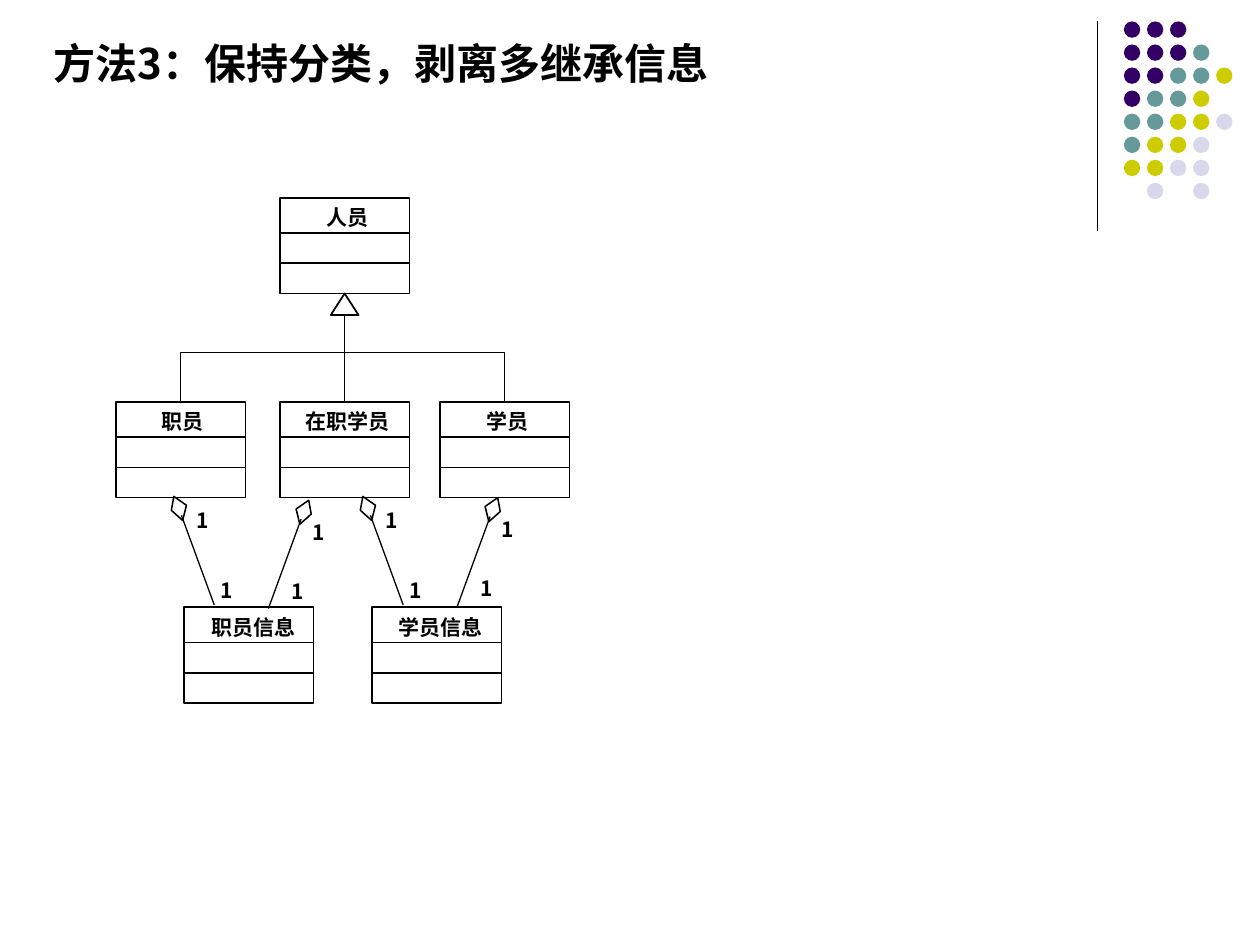
"""Build a slide with a class diagram that splits multiple inheritance into information classes."""
from lxml.etree import SubElement
from pptx import Presentation
from pptx.dml.color import RGBColor
from pptx.enum.shapes import MSO_CONNECTOR, MSO_SHAPE
from pptx.enum.text import MSO_ANCHOR, PP_ALIGN
from pptx.oxml.ns import qn
from pptx.util import Inches, Pt

FONT = "Noto Sans CJK SC"
COLORS = {
    "ink": "000000",
    "paper": "FFFFFF",
    "P": "330066",
    "T": "669999",
    "Y": "CCCC00",
    "L": "D8D8EC",
}
TITLE = "方法3：保持分类，剥离多继承信息"
DOT_ROWS = ["PPP", "PPPT", "PPTTY", "PTTY", "TTYYL", "TYYL", "YYLL", " L L"]
DOT_LEFT, DOT_TOP, DOT_STEP, DOT_SIZE = 8.92, 0.17, 0.183, 0.13

PARENT = ("人员", 2.22, 1.57, 0.04)
CHILDREN = [
    ("职员", 0.92, 3.19, 0.03),
    ("学员", 3.49, 3.19, 0.04),
    ("在职学员", 2.22, 3.19, 0.04),
]
DETAILS = [("职员信息", 1.46, 4.82, 0.08), ("学员信息", 2.95, 4.82, 0.07)]
CLASS_WIDTH, HEADER_HEIGHT, ROW_HEIGHT = 1.03, 0.28, 0.24

TRIANGLE_BASE, BRANCH_Y = 2.5, 2.8
DIAMOND = [(0, 0), (0.1, 0.07), (0.07, 0.19), (-0.02, 0.11)]
LINK_START, LINK_END = (0.06, 0.15), (0.32, 0.86)
MULTIPLICITY = {1: [(0.18, 0.09), (0.37, 0.64)], -1: [(0.03, 0.15), (-0.14, 0.62)]}
AGGREGATIONS = [(3.95, 3.95, -1), (2.45, 3.97, -1), (2.88, 3.94, 1), (1.38, 3.94, 1)]


def color(key):
    return RGBColor.from_string(COLORS[key])


def paint(shape, fill=None, width=None):
    shape.shadow.inherit = False
    if fill:
        shape.fill.solid()
        shape.fill.fore_color.rgb = color(fill)
    else:
        shape.fill.background()
    if width:
        shape.line.color.rgb = color("ink")
        shape.line.width = Pt(width)
    else:
        shape.line.fill.background()


def write(frame, words, size):
    frame.text = words
    font = frame.paragraphs[0].runs[0].font
    font.size, font.bold, font.name = Pt(size), True, FONT
    font.color.rgb = color("ink")
    properties = font._element
    SubElement(properties, qn("a:ea")).set("typeface", FONT)


def add_text(slide, words, left, top, width, height, size, margins=(0, 0), wrap=False):
    frame = slide.shapes.add_textbox(*map(Inches, (left, top, width, height))).text_frame
    frame.margin_left = frame.margin_right = Inches(margins[0])
    frame.margin_top = frame.margin_bottom = Inches(margins[1])
    frame.word_wrap = wrap
    write(frame, words, size)


def add_shape(slide, kind, left, top, width, height, fill, line_width=None):
    shape = slide.shapes.add_shape(kind, *map(Inches, (left, top, width, height)))
    paint(shape, fill, line_width)
    return shape


def add_line(slide, start, end):
    line = slide.shapes.add_connector(MSO_CONNECTOR.STRAIGHT, *map(Inches, (*start, *end)))
    line.line.color.rgb = color("ink")
    line.line.width = Pt(0.75)
    SubElement(line._element.spPr, qn("a:effectLst"))
    return line


def add_outline(slide, points, close, width, fill=None):
    corners = [(Inches(x), Inches(y)) for x, y in points]
    builder = slide.shapes.build_freeform(*corners[0], scale=1.0)
    builder.add_line_segments(corners[1:], close=close)
    paint(builder.convert_to_shape(), fill, width)


def add_class(slide, name, left, top, indent):
    rows_top = top + HEADER_HEIGHT
    for row in (1, 0):
        add_shape(slide, MSO_SHAPE.RECTANGLE, left, rows_top + row * ROW_HEIGHT,
                  CLASS_WIDTH, ROW_HEIGHT, "paper", 1)
    header = add_shape(slide, MSO_SHAPE.RECTANGLE, left, top,
                       CLASS_WIDTH, HEADER_HEIGHT, "paper", 1)
    frame = header.text_frame
    frame.margin_left, frame.margin_top = Inches(indent), Inches(0.03)
    frame.margin_right = frame.margin_bottom = 0
    frame.vertical_anchor = MSO_ANCHOR.MIDDLE
    frame.word_wrap = False
    write(frame, name, 12)
    frame.paragraphs[0].alignment = PP_ALIGN.CENTER
    return header


def add_decoration(slide):
    add_line(slide, (8.71, 0.17), (8.71, 1.83))
    for row, dots in enumerate(DOT_ROWS):
        for column, dot in enumerate(dots):
            if dot != " ":
                add_shape(slide, MSO_SHAPE.OVAL, DOT_LEFT + column * DOT_STEP,
                          DOT_TOP + row * DOT_STEP, DOT_SIZE, DOT_SIZE, dot)


def add_inheritance(slide):
    add_class(slide, *PARENT)
    trunk = PARENT[1] + CLASS_WIDTH / 2
    apex = PARENT[2] + HEADER_HEIGHT + 2 * ROW_HEIGHT
    for child in CHILDREN:
        header = add_class(slide, *child)
        center, top = child[1] + CLASS_WIDTH / 2, child[2]
        if child[1] == PARENT[1]:
            add_line(slide, (trunk, BRANCH_Y), (center, top)).end_connect(header, 0)
        else:
            route = [(trunk, TRIANGLE_BASE), (trunk, BRANCH_Y), (center, BRANCH_Y), (center, top)]
            add_outline(slide, route, False, 0.75)
    corners = [(trunk - 0.11, TRIANGLE_BASE), (trunk + 0.11, TRIANGLE_BASE), (trunk, apex)]
    add_outline(slide, corners, True, 1, "paper")


def add_aggregation(slide, x, y, side):
    def place(offset):
        return x + side * offset[0], y + offset[1]

    add_outline(slide, [place(corner) for corner in DIAMOND], True, 0.88)
    add_line(slide, place(LINK_START), place(LINK_END))
    for dx, dy in MULTIPLICITY[side]:
        add_text(slide, "1", x + dx, y + dy, 0.1, 0.2, 12)


def main():
    deck = Presentation()
    deck.slide_width, deck.slide_height = Inches(10), Inches(7.5)
    slide = deck.slides.add_slide(deck.slide_layouts[6])
    add_decoration(slide)
    add_text(slide, TITLE, 0.33, 0.25, 5.61, 0.5, 24, (0.1, 0.05), True)
    add_inheritance(slide)
    for detail in DETAILS:
        add_class(slide, *detail)
    for aggregation in AGGREGATIONS:
        add_aggregation(slide, *aggregation)
    deck.save("out.pptx")


if __name__ == "__main__":
    main()
